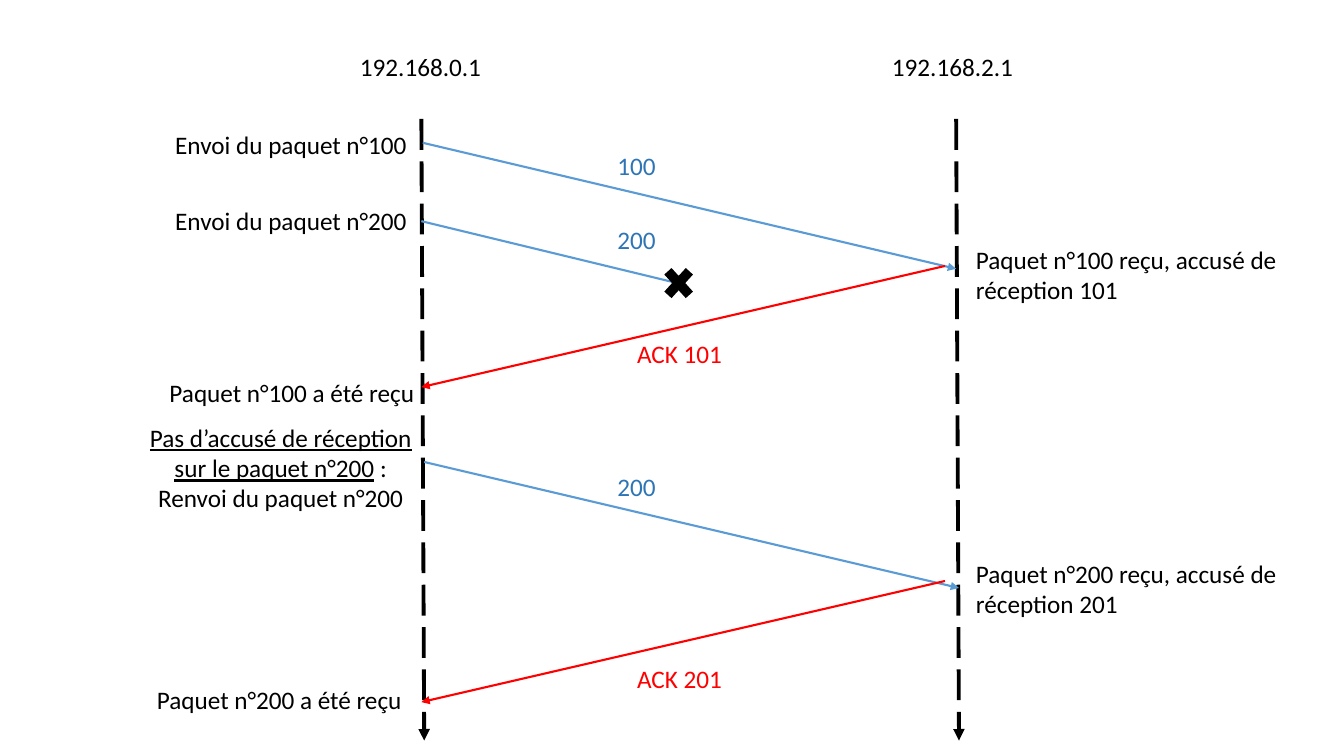
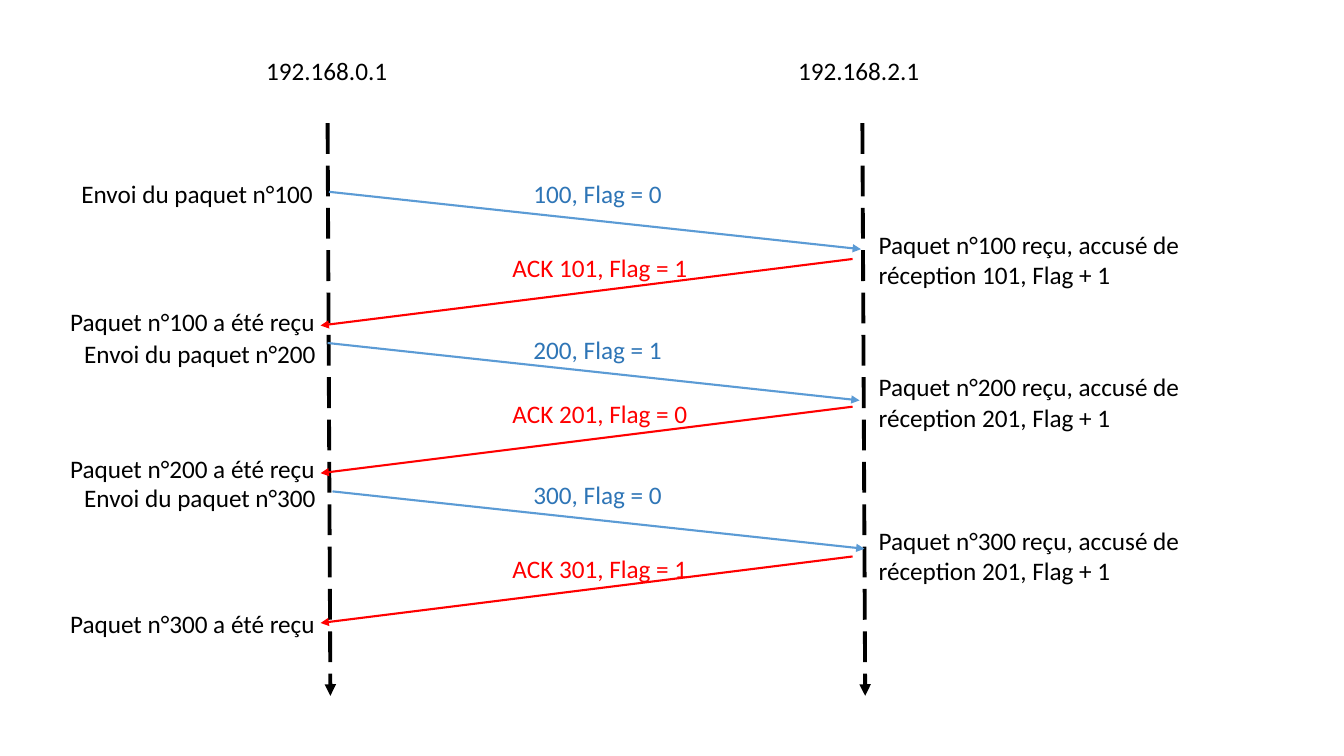
from pptx import Presentation
from pptx.dml.color import RGBColor
from pptx.enum import dml, shapes, text
from pptx.oxml.ns import qn
from pptx.oxml.xmlchemy import OxmlElement
from pptx.util import Pt

BLACK = RGBColor(0x00, 0x00, 0x00)
SEND_LINE = RGBColor(0x5B, 0x9B, 0xD5)
SEND_TEXT = RGBColor(0x2E, 0x75, 0xB6)
ACK_RED = RGBColor(0xFF, 0x00, 0x00)
FONT, SIZE = "Calibri", Pt(18)
HOST_GAP, LEAN = 382, 2
HOSTS = ("192.168.0.1", "192.168.2.1")


def add_label(slide, box, dx, dy, width, words="", color=BLACK, height=29):
    """Write a label at an offset from the box corner and return its paragraph."""
    label = slide.shapes.add_textbox(
        Pt(box[0] + dx), Pt(box[1] + dy), Pt(width), Pt(height))
    frame = label.text_frame
    frame.word_wrap = True
    frame.auto_size = text.MSO_AUTO_SIZE.SHAPE_TO_FIT_TEXT
    paragraph = frame.paragraphs[0]
    if words:
        paragraph.text = words
    paragraph.font.name = FONT
    paragraph.font.size = SIZE
    paragraph.font.color.rgb = color
    return paragraph


def add_arrow(slide, box, start, end, color, weight=1.5, dash=None):
    """Draw an arrow between two offsets from the box corner."""
    left, top = box[:2]
    arrow = slide.shapes.add_connector(
        shapes.MSO_CONNECTOR.STRAIGHT,
        Pt(left + start[0]), Pt(top + start[1]), Pt(left + end[0]), Pt(top + end[1]))
    arrow.line.color.rgb = color
    arrow.line.width = Pt(weight)
    if dash:
        arrow.line.dash_style = dash
    properties = arrow._element.spPr
    head = OxmlElement("a:tailEnd")
    head.set("type", "triangle")
    properties.find(qn("a:ln")).append(head)
    properties.append(OxmlElement("a:effectLst"))


def add_hosts(slide, box):
    """Draw both host addresses and their timelines down the box."""
    for index, host in enumerate(HOSTS):
        x = index * HOST_GAP
        add_arrow(slide, box, (x, 0), (x + LEAN, box[2]), BLACK, 2.75,
                  dml.MSO_LINE.LONG_DASH)
        add_label(slide, box, index * 380 - 51, -52, 107, host)


def add_sending(slide, box, dx, dy, number):
    """Announce a packet beside the sender's timeline."""
    add_label(slide, box, dx, dy, 182, f"Envoi du paquet n°{number}")


def add_receipt(slide, box, dx, dy, number, reply):
    """Describe the reception beside the receiver's timeline."""
    add_label(slide, box, dx, dy, 234,
              f"Paquet n°{number} reçu, accusé de réception {reply}", height=51)


def add_confirmation(slide, box, dx, dy, number):
    """Confirm delivery beside the sender's timeline."""
    add_label(slide, box, dx, dy, 191, f"Paquet n°{number} a été reçu")


def add_resend_note(slide, box):
    """Explain why the second packet is sent again."""
    note = add_label(slide, box, -204, 213, 207, height=73)
    note.alignment = text.PP_ALIGN.CENTER
    reason = note.add_run()
    reason.text = "Pas d’accusé de réception sur le paquet n°200"
    reason.font.underline = True
    note.add_run().text = " : Renvoi du paquet n°200"


def add_loss_mark(slide, box):
    """Mark the place where the packet is lost."""
    cross = slide.shapes.add_shape(
        shapes.MSO_SHAPE.MATH_MULTIPLY,
        Pt(box[0] + 169), Pt(box[1] + 101), Pt(29.5), Pt(32.4))
    cross.shadow.inherit = False
    cross.fill.solid()
    cross.fill.fore_color.rgb = BLACK
    cross.line.fill.background()


def build_lost_packet(slide, box):
    """Show a lost packet and its retransmission."""
    add_hosts(slide, box)
    for number, y in ((100, 4), (200, 58)):
        add_sending(slide, box, -183, y, number)
    for number, label_y, start, end in (
            (100, 19, (1, 17), (HOST_GAP, 107)),
            (200, 72, (0, 73), (186, 118)),
            (200, 248, (2, 245), (384, 335))):
        add_arrow(slide, box, start, end, SEND_LINE)
        add_label(slide, box, 133, label_y, 44, str(number), SEND_TEXT)
    for number, receipt_y, ack_y, label_y, done_x, done_y in (
            (100, 86, 105, 153, -187, 181),
            (200, 310, 330, 385, -196, 400)):
        add_receipt(slide, box, 389, receipt_y, number, number + 1)
        add_arrow(slide, box, (374, ack_y), (0, ack_y + 86.5), ACK_RED)
        add_label(slide, box, 147, label_y, 91, f"ACK {number + 1}", ACK_RED)
        add_confirmation(slide, box, done_x, done_y, number)
    add_loss_mark(slide, box)
    add_resend_note(slide, box)


def build_alternating_flag(slide, box):
    """Show three acknowledged packets with an alternating flag."""
    add_hosts(slide, box)
    for (number, reply, flag, send_x, send_y, start_x, start_y, label_y,
         receipt_y, ack_y, ack_label_y, done_y) in (
            (100, 101, 0, -183, 36, 1, 49, 36, 72, 97, 89, 127),
            (200, 201, 1, -181, 150, 0, 157, 147, 174, 202.5, 193, 232),
            (300, 201, 0, -181, 253, 3.5, 263, 251, 283.5, 309.5, 304, 343)):
        add_sending(slide, box, send_x, send_y, number)
        add_arrow(slide, box, (start_x, start_y), (start_x + 380, start_y + 41),
                  SEND_LINE)
        add_label(slide, box, 140, label_y, 111, f"{number}, Flag = {flag}", SEND_TEXT)
        add_receipt(slide, box, 386.5, receipt_y, number, f"{reply}, Flag + 1")
        add_arrow(slide, box, (375, ack_y), (-5, ack_y + 47.5), ACK_RED)
        add_label(slide, box, 125, ack_label_y, 141,
                  f"ACK {number + 1}, Flag = {1 - flag}", ACK_RED)
        add_confirmation(slide, box, -191, done_y, number)


def main():
    """Build and save both exchange diagrams."""
    deck = Presentation()
    deck.slide_width, deck.slide_height = Pt(960), Pt(540)
    for build, box in ((build_lost_packet, (301, 85, 444)),
                       (build_alternating_flag, (234, 88, 409))):
        build(deck.slides.add_slide(deck.slide_layouts[6]), box)
    deck.save("out.pptx")


main()
